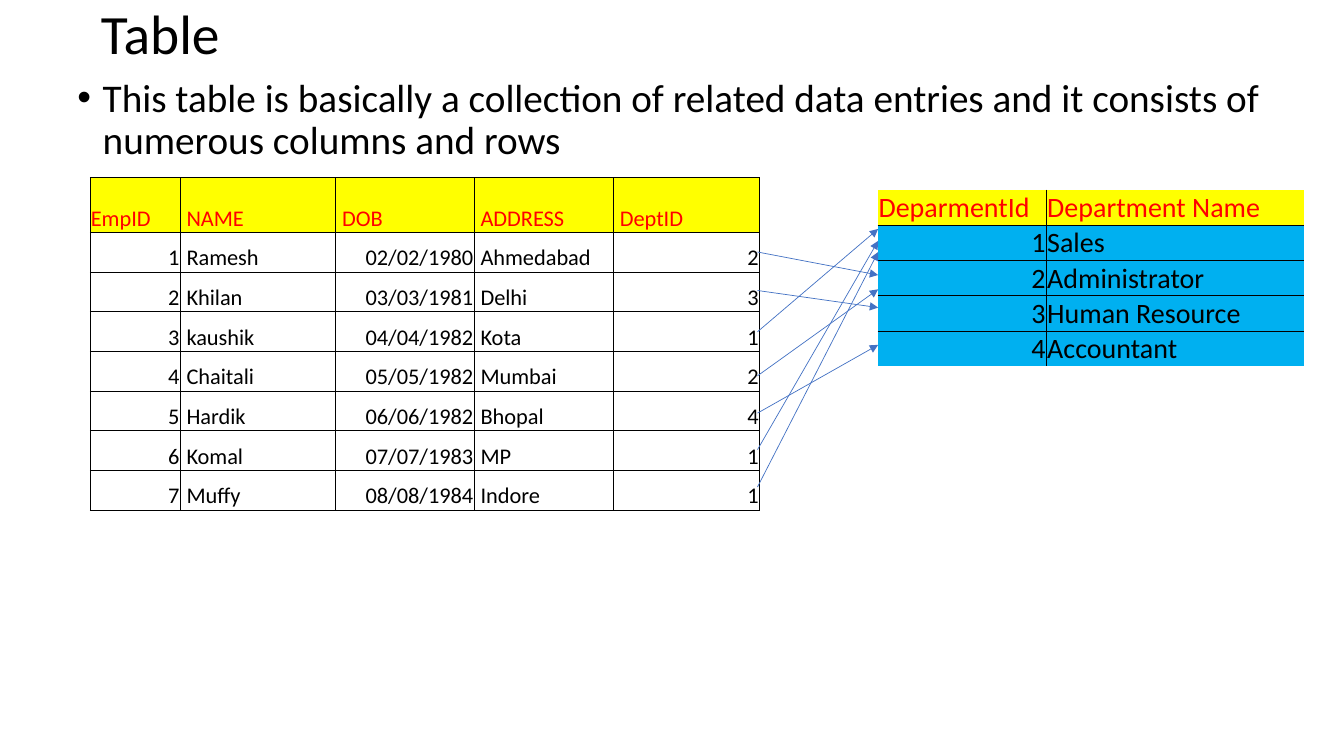
from lxml.etree import SubElement as Sub
from pptx import Presentation
from pptx.dml.color import RGBColor as RGB
from pptx.enum.shapes import MSO_CONNECTOR as Link
from pptx.enum.text import MSO_ANCHOR as Anchor, MSO_AUTO_SIZE as Auto, PP_ALIGN as Align
from pptx.oxml.ns import qn
from pptx.util import Cm, Pt

BLACK = RGB(0x00, 0x00, 0x00)
RED = RGB(0xFF, 0x00, 0x00)
YELLOW = RGB(0xFF, 0xFF, 0x00)
CYAN = RGB(0x00, 0xB0, 0xF0)
BLUE = RGB(0x44, 0x72, 0xC4)
PLAIN = "{2D5ABB26-0587-4C30-8999-92F81FD0307C}"  # table style without grid

STAFF = [
    ("EmpID", "NAME", "DOB", "ADDRESS", "DeptID"),
    ("1", "Ramesh", "02/02/1980", "Ahmedabad", "2"),
    ("2", "Khilan", "03/03/1981", "Delhi", "3"),
    ("3", "kaushik", "04/04/1982", "Kota", "1"),
    ("4", "Chaitali", "05/05/1982", "Mumbai", "2"),
    ("5", "Hardik", "06/06/1982", "Bhopal", "4"),
    ("6", "Komal", "07/07/1983", "MP", "1"),
    ("7", "Muffy", "08/08/1984", "Indore", "1"),
]
UNITS = [
    ("DeparmentId", "Department Name"),
    ("1", "Sales"),
    ("2", "Administrator"),
    ("3", "Human Resource"),
    ("4", "Accountant"),
]
# start and end height of each arrow, one per employee
LINKS = [(6.35, 6.93), (7.32, 7.75), (8.36, 5.77), (9.47, 7.29),
         (10.41, 8.69), (11.33, 6.07), (12.27, 6.35)]


def style(par, size, color):
    par.font.name = "Calibri"
    par.font.size = Pt(size)
    par.font.color.rgb = color


def add_grid(data, left, top, widths, heights, size, pad, frame, color=None):
    """Draw a table; pad insets all but the first column, frame adds outer borders."""
    rows, cols = len(data), len(widths)
    table = slide.shapes.add_table(rows, cols, Cm(left), Cm(top),
                                   Cm(sum(widths)), Cm(sum(heights))).table
    props = table._tbl.tblPr
    props.find(qn("a:tableStyleId")).text = PLAIN
    table.first_row = table.horz_banding = False
    for col, width in zip(table.columns, widths):
        col.width = Cm(width)
    for row, height in zip(table.rows, heights):
        row.height = Cm(height)

    for r, line in enumerate(data):
        for c, text in enumerate(line):
            cell = table.cell(r, c)
            cell.text = text
            cell.vertical_anchor = Anchor.BOTTOM
            cell.margin_left = Cm(pad if c else 0.02)
            cell.margin_right = cell.margin_top = Cm(0.02)
            cell.margin_bottom = 0
            par = cell.text_frame.paragraphs[0]
            par.alignment = Align.RIGHT if text[0].isdigit() else Align.LEFT
            style(par, size, BLACK if r else RED)

            sides = {"L": c > 0, "R": c < cols - 1, "T": r > 0, "B": r < rows - 1}
            for side, inner in sides.items():
                if inner or frame:
                    edge = Sub(cell._tc.get_or_add_tcPr(), qn("a:ln" + side), w=str(Pt(0.5)))
                    fill = Sub(edge, qn("a:solidFill"))
                    Sub(fill, qn("a:srgbClr"), val=str(BLACK))

            shade = color if r else YELLOW
            if shade:
                cell.fill.solid()
                cell.fill.fore_color.rgb = shade
            else:
                cell.fill.background()


deck = Presentation()
deck.slide_width, deck.slide_height = Cm(33.87), Cm(19.05)
slide = deck.slides.add_slide(deck.slide_layouts[5])

# Title
title = slide.shapes.title
title.left, title.top, title.width, title.height = Cm(2.29), Cm(0), Cm(30.68), Cm(1.85)
title.text_frame.text = "Table"
title.text_frame.auto_size = Auto.NONE
title.text_frame.vertical_anchor = Anchor.MIDDLE
par = title.text_frame.paragraphs[0]
par.alignment = Align.LEFT
par.line_spacing = 0.9
style(par, 39.6, BLACK)

# Bullet text
body = slide.shapes.add_textbox(Cm(1.7), Cm(1.85), Cm(30.45), Cm(15.09)).text_frame
body.word_wrap = True
body.text = ("This table is basically a collection of related data entries "
             "and it consists of numerous columns and rows")
par = body.paragraphs[0]
par.line_spacing = 0.9
par.space_before = Pt(10)
style(par, 28, BLACK)
props = par._p.get_or_add_pPr()
props.set("marL", str(Cm(0.64)))
props.set("indent", str(-Cm(0.64)))
Sub(props, qn("a:buFont"), typeface="Arial")
Sub(props, qn("a:buChar"), char="•")

# Tables
add_grid(STAFF, 2.27, 4.48, [2.27, 3.92, 3.49, 3.51, 3.68], [1.37] + [1] * 7,
         16, 0.16, True)
add_grid(UNITS, 22.12, 4.78, [4.25, 6.5], [0.89] * 5, 20, 0.02, False, CYAN)

# Arrows from employees to departments
for start, end in LINKS:
    arrow = slide.shapes.add_connector(Link.STRAIGHT, Cm(19.09), Cm(start), Cm(22.13), Cm(end))
    arrow.line.color.rgb = BLUE
    arrow.line.width = Pt(0.5)
    Sub(arrow.line._get_or_add_ln(), qn("a:tailEnd"), type="triangle")
    Sub(arrow._element.spPr, qn("a:effectLst"))

deck.save("out.pptx")
